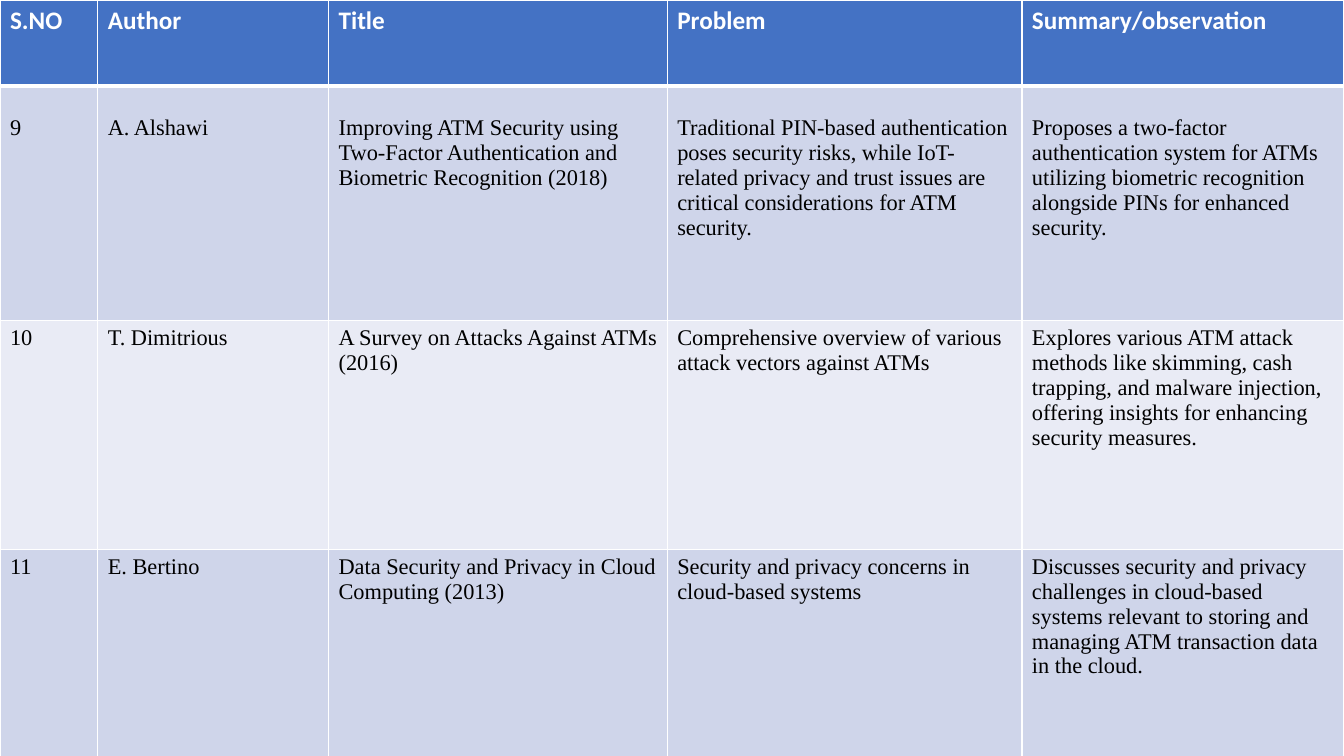
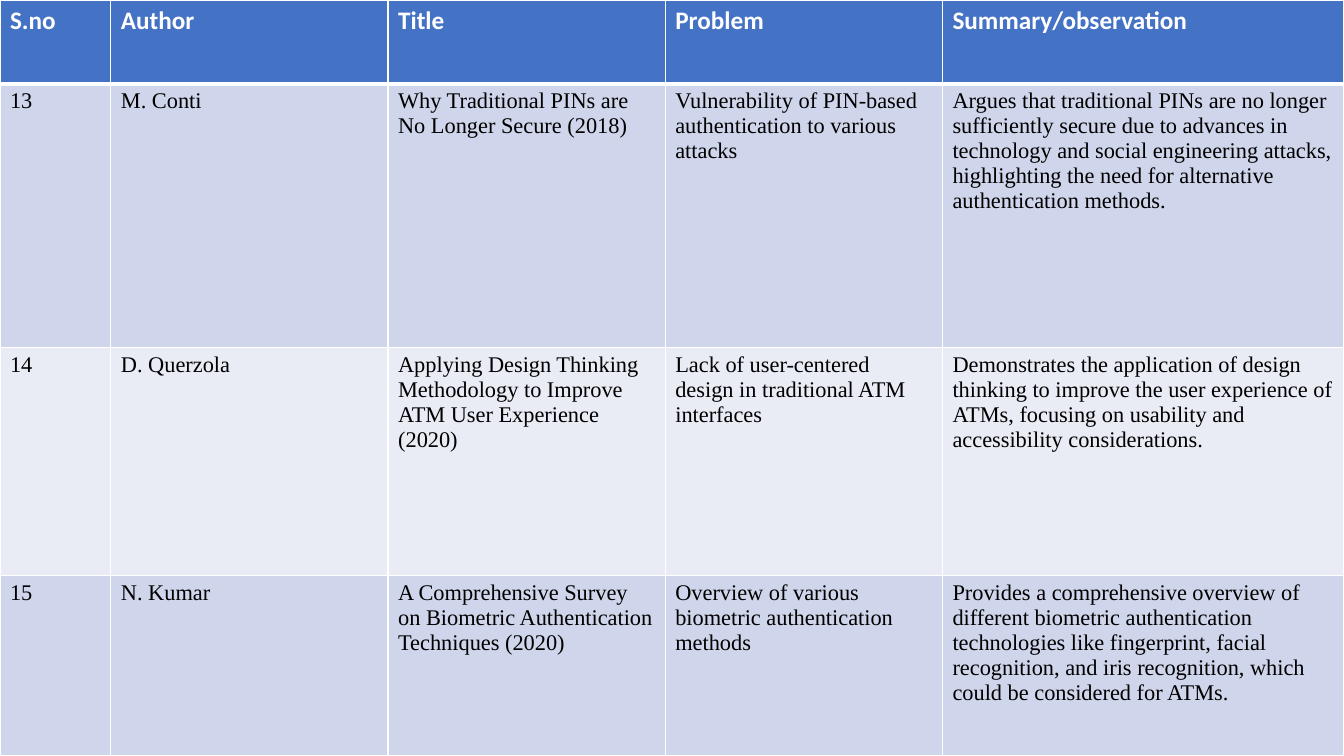
import pptx
import pptx.util
import pptx.dml.color
import pptx.oxml
import pptx.oxml.ns

Pt = pptx.util.Pt

WIDE, HIGH = 960, 540
WHITE, BLACK, BLUE = "FFFFFF", "000000", "4472C4"
BANDS = ["CFD5EA", "E9EBF5"]
HEAD = {"font": "Calibri", "size": 18, "bold": True, "color": WHITE}
BODY = {"font": "Times New Roman", "size": 16, "bold": False, "color": BLACK}
THIN, THICK = 1, 3
PAD = 3.6
LINE = 17.7
TITLES = ["Author", "Title", "Problem", "Summary/observation"]

PAGES = [
    {
        "cols": [69.8, 164.9, 241.9, 253.4, 230],
        "rows": [61.2, 167.8, 163.4, 203],
        "drop": [1],
        "cells": [
            ["S.NO"] + TITLES,
            ["9", "A. Alshawi",
             "Improving ATM Security using Two-Factor Authentication and Biometric Recognition (2018)",
             "Traditional PIN-based authentication poses security risks, while IoT-related privacy "
             "and trust issues are critical considerations for ATM security.",
             "Proposes a two-factor authentication system for ATMs utilizing biometric recognition "
             "alongside PINs for enhanced security."],
            ["10", "T. Dimitrious",
             "A Survey on Attacks Against ATMs (2016)",
             "Comprehensive overview of various attack vectors against ATMs",
             "Explores various ATM attack methods like skimming, cash trapping, and malware "
             "injection, offering insights for enhancing security measures."],
            ["11", "E. Bertino",
             "Data Security and Privacy in Cloud Computing (2013)",
             "Security and privacy concerns in cloud-based systems",
             "Discusses security and privacy challenges in cloud-based systems relevant to storing "
             "and managing ATM transaction data in the cloud."],
        ],
    },
    {
        "cols": [79.2, 198, 198, 198, 286.8],
        "rows": [59.8, 188.6, 162.7, 128.9],
        "drop": [],
        "cells": [
            ["S.no"] + TITLES,
            ["13", "M. Conti",
             "Why Traditional PINs are No Longer Secure (2018)",
             "Vulnerability of PIN-based authentication to various attacks",
             "Argues that traditional PINs are no longer sufficiently secure due to advances in "
             "technology and social engineering attacks, highlighting the need for alternative "
             "authentication methods."],
            ["14", "D. Querzola",
             "Applying Design Thinking Methodology to Improve ATM User Experience (2020)",
             "Lack of user-centered design in traditional ATM interfaces",
             "Demonstrates the application of design thinking to improve the user experience of "
             "ATMs, focusing on usability and accessibility considerations."],
            ["15", "N. Kumar",
             "A Comprehensive Survey on Biometric Authentication Techniques (2020)",
             "Overview of various biometric authentication methods",
             "Provides a comprehensive overview of different biometric authentication technologies "
             "like fingerprint, facial recognition, and iris recognition, which could be "
             "considered for ATMs."],
        ],
    },
]


def paint(fill, color):
    fill.solid()
    fill.fore_color.rgb = pptx.dml.color.RGBColor.from_string(color)


def rule(cell, row):
    widths = {
        "lnL": THIN,
        "lnR": THIN,
        "lnT": THICK if row == 1 else THIN,
        "lnB": THICK if row == 0 else THIN,
    }
    props = cell._tc.get_or_add_tcPr()
    for index, (side, width) in enumerate(widths.items()):
        props.insert(index, pptx.oxml.parse_xml(
            f'<a:{side} {pptx.oxml.ns.nsdecls("a")} w="{Pt(width)}"><a:solidFill>'
            f'<a:srgbClr val="{WHITE}"/></a:solidFill></a:{side}>'))


def write(cell, text, style):
    cell.text_frame.text = text
    font = cell.text_frame.paragraphs[0].runs[0].font
    font.name = style["font"]
    font.size = Pt(style["size"])
    font.bold = style["bold"]
    paint(font.fill, style["color"])


def build(deck, page):
    cols, rows = page["cols"], page["rows"]
    slide = deck.slides.add_slide(deck.slide_layouts[6])
    table = slide.shapes.add_table(
        len(rows), len(cols), 0, 0, Pt(sum(cols)), Pt(sum(rows))).table
    for col, width in zip(table.columns, cols):
        col.width = Pt(width)
    for row, height in zip(table.rows, rows):
        row.height = Pt(height)
    for r, texts in enumerate(page["cells"]):
        for c, text in enumerate(texts):
            cell = table.cell(r, c)
            rule(cell, r)
            paint(cell.fill, BANDS[(r - 1) % 2] if r else BLUE)
            cell.margin_top = Pt(PAD + (LINE if r in page["drop"] else 0))
            write(cell, text, BODY if r else HEAD)


def main():
    deck = pptx.Presentation()
    deck.slide_width, deck.slide_height = Pt(WIDE), Pt(HIGH)
    for page in PAGES:
        build(deck, page)
    deck.save("out.pptx")


if __name__ == "__main__":
    main()
